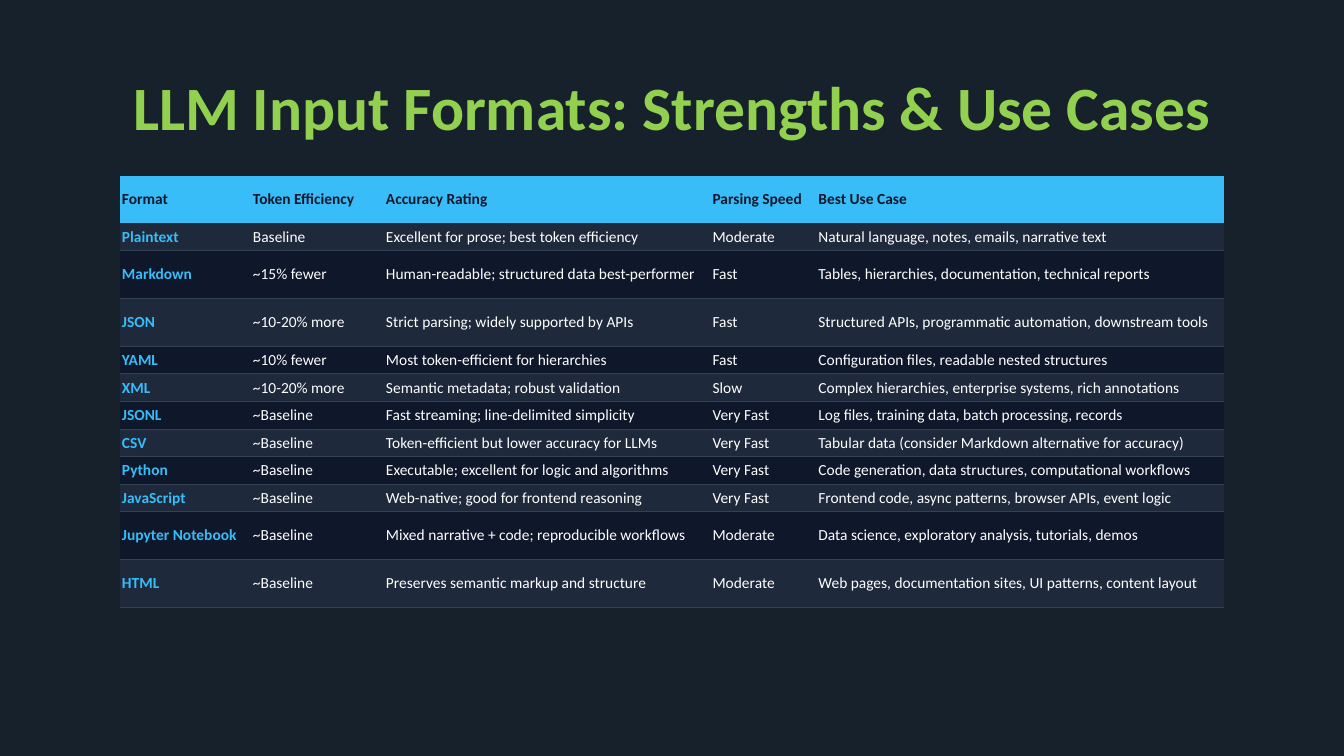
from lxml import etree
from pptx import Presentation
from pptx.dml.color import RGBColor
from pptx.enum.text import MSO_ANCHOR, MSO_AUTO_SIZE, PP_ALIGN
from pptx.oxml.ns import qn
from pptx.util import Inches, Pt

MIDDLE = MSO_ANCHOR.MIDDLE
CENTER = PP_ALIGN.CENTER
LEFT = PP_ALIGN.LEFT
NO_FIT = MSO_AUTO_SIZE.NONE

COLORS = {
    "background": "17212B",
    "title": "92D050",
    "accent": "38BDF8",
    "dark": "0F172A",
    "slate": "1E293B",
    "rule": "334155",
    "body": "FFFFFF",
}

GRID_COLUMNS, GRID_ROWS = 160, 90
FORMAT_COLUMNS = [15.6, 15.84, 38.88, 12.6, 48.48]
HEADER_ROW, SHORT_ROW, TALL_ROW = 5.6, 3.28, 5.71
TALL_FORMATS = {"Markdown", "JSON", "Jupyter Notebook", "HTML"}

HEADINGS = ["Format", "Token Efficiency", "Accuracy Rating", "Parsing Speed", "Best Use Case"]
FORMATS = [
    ["Plaintext", "Baseline", "Excellent for prose; best token efficiency", "Moderate",
     "Natural language, notes, emails, narrative text"],
    ["Markdown", "~15% fewer", "Human-readable; structured data best-performer", "Fast",
     "Tables, hierarchies, documentation, technical reports"],
    ["JSON", "~10-20% more", "Strict parsing; widely supported by APIs", "Fast",
     "Structured APIs, programmatic automation, downstream tools"],
    ["YAML", "~10% fewer", "Most token-efficient for hierarchies", "Fast",
     "Configuration files, readable nested structures"],
    ["XML", "~10-20% more", "Semantic metadata; robust validation", "Slow",
     "Complex hierarchies, enterprise systems, rich annotations"],
    ["JSONL", "~Baseline", "Fast streaming; line-delimited simplicity", "Very Fast",
     "Log files, training data, batch processing, records"],
    ["CSV", "~Baseline", "Token-efficient but lower accuracy for LLMs", "Very Fast",
     "Tabular data (consider Markdown alternative for accuracy)"],
    ["Python", "~Baseline", "Executable; excellent for logic and algorithms", "Very Fast",
     "Code generation, data structures, computational workflows"],
    ["JavaScript", "~Baseline", "Web-native; good for frontend reasoning", "Very Fast",
     "Frontend code, async patterns, browser APIs, event logic"],
    ["Jupyter Notebook", "~Baseline", "Mixed narrative + code; reproducible workflows", "Moderate",
     "Data science, exploratory analysis, tutorials, demos"],
    ["HTML", "~Baseline", "Preserves semantic markup and structure", "Moderate",
     "Web pages, documentation sites, UI patterns, content layout"],
]


class FormatSlide:
    font = "Calibri"
    cell_format = {
        "vertical_anchor": MIDDLE,
        "margin_left": Inches(0.02),
        "margin_right": Inches(0.02),
        "margin_top": Inches(0.01),
        "margin_bottom": Inches(0.01),
    }

    def __init__(self, deck):
        self.width, self.height = deck.slide_width, deck.slide_height
        self.slide = deck.slides.add_slide(deck.slide_layouts[5])
        self.fill(self.slide.background, "background")

    def across(self, columns):
        return int(self.width * columns / GRID_COLUMNS)

    def down(self, rows):
        return int(self.height * rows / GRID_ROWS)

    def place(self, left, top, width, height):
        return self.across(left), self.down(top), self.across(width), self.down(height)

    def fill(self, target, color):
        target.fill.solid()
        target.fill.fore_color.rgb = RGBColor.from_string(COLORS[color])

    def label(self, frame, words, size, color, bold, align):
        paragraph = frame.paragraphs[0]
        paragraph.alignment = align
        run = paragraph.add_run()
        run.text = words
        for key, value in {"name": self.font, "size": Pt(size), "bold": bold}.items():
            setattr(run.font, key, value)
        run.font.color.rgb = RGBColor.from_string(COLORS[color])

    def title(self, words, left, top, width, height):
        heading = self.slide.shapes.title
        box = self.place(left, top, width, height)
        for key, value in zip(("left", "top", "width", "height"), box):
            setattr(heading, key, value)
        frame = heading.text_frame
        frame_format = {"vertical_anchor": MIDDLE, "word_wrap": True, "auto_size": NO_FIT}
        for key, value in frame_format.items():
            setattr(frame, key, value)
        self.label(frame, words, 44, "title", True, CENTER)

    def borders(self, cell, ruled_sides):
        properties = cell._tc.get_or_add_tcPr()
        for index, side in enumerate(("lnL", "lnR", "lnT", "lnB")):
            line = etree.Element(qn("a:" + side), w=str(Pt(0.75)))
            if side in ruled_sides:
                paint = etree.SubElement(line, qn("a:solidFill"))
                etree.SubElement(paint, qn("a:srgbClr"), val=COLORS["rule"])
            else:
                etree.SubElement(line, qn("a:noFill"))
            properties.insert(index, line)

    def cell(self, cell, words, background, color, bold, ruled_sides):
        for key, value in self.cell_format.items():
            setattr(cell, key, value)
        self.fill(cell, background)
        self.borders(cell, ruled_sides)
        self.label(cell.text_frame, words, 11, color, bold, LEFT)

    def table(self, headings, formats, left, top):
        heights = [HEADER_ROW] + [
            TALL_ROW if entry[0] in TALL_FORMATS else SHORT_ROW for entry in formats
        ]
        box = self.place(left, top, sum(FORMAT_COLUMNS), sum(heights))
        comparison = self.slide.shapes.add_table(len(heights), len(headings), *box).table
        for column, width in zip(comparison.columns, FORMAT_COLUMNS):
            column.width = self.across(width)
        for row, height in zip(comparison.rows, heights):
            row.height = self.down(height)
        for column, heading in enumerate(headings):
            self.cell(comparison.cell(0, column), heading, "accent", "dark", True, ())
        for row, entry in enumerate(formats, 1):
            background = "slate" if row % 2 else "dark"
            ruled_sides = ("lnB",) if row == 1 else ("lnT", "lnB")
            for column, words in enumerate(entry):
                is_name = column == 0
                color = "accent" if is_name else "body"
                self.cell(comparison.cell(row, column), words, background, color, is_name, ruled_sides)


def main():
    deck = Presentation()
    deck.slide_width, deck.slide_height = Inches(13.33), Inches(7.5)
    overview = FormatSlide(deck)
    overview.title("LLM Input Formats: Strengths & Use Cases", 13.56, 7.44, 133, 10.32)
    overview.table(HEADINGS, FORMATS, 14.28, 20.95)
    deck.save("out.pptx")


if __name__ == "__main__":
    main()
